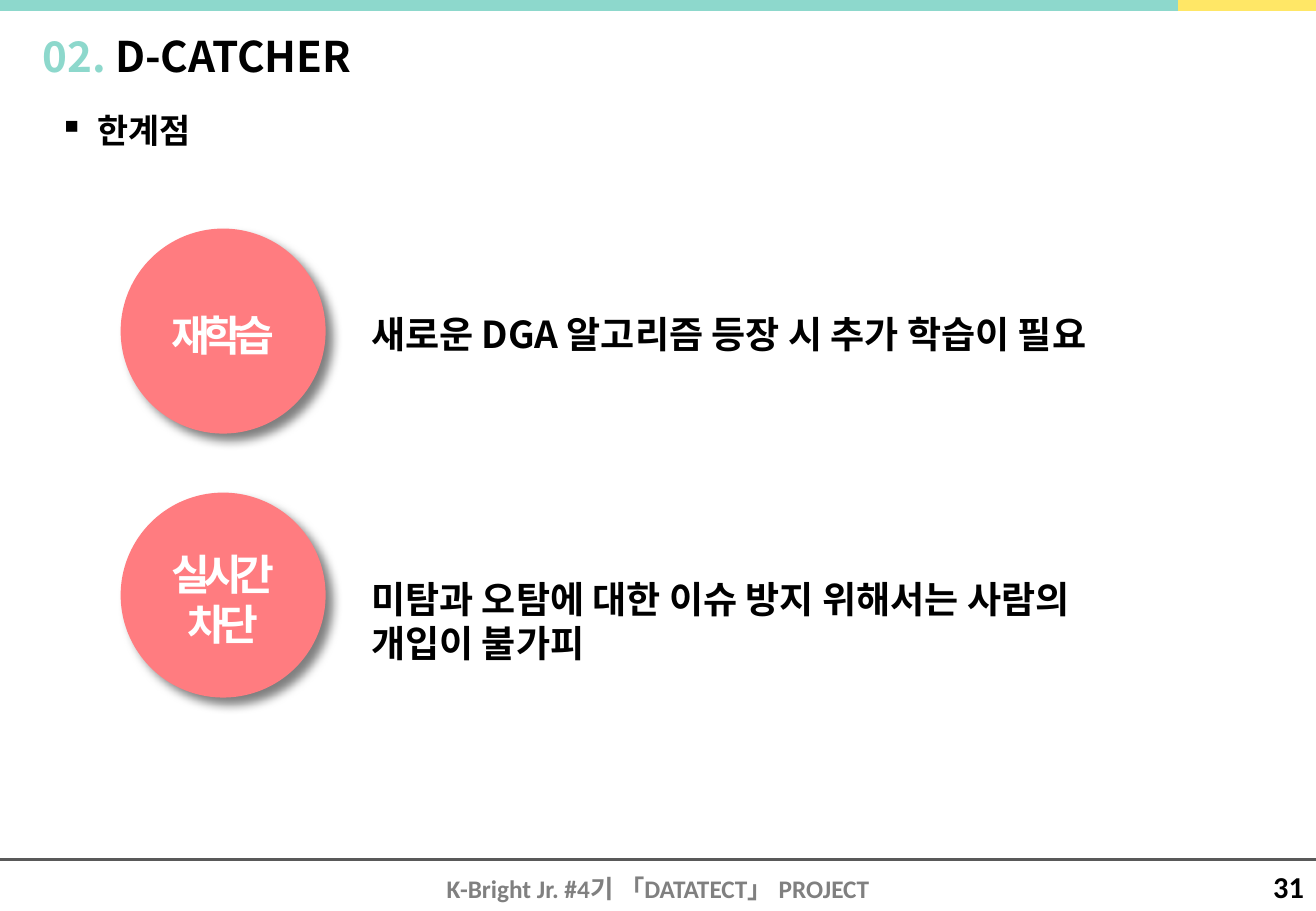
from pptx import Presentation
from pptx import util as u
from pptx.dml.color import RGBColor
from pptx.enum import shapes, text
from pptx.oxml import ns
from lxml import etree

WIDTH, HEIGHT = 780, 540
MINT, YELLOW, CORAL = "8DD8CC", "FFE766", "FF7C80"
BLACK, WHITE, GREY, DARK_GREY = "000000", "FFFFFF", "808080", "595959"
KOREAN, LATIN = "Noto Sans CJK KR", "Calibri"
ALIGN = text.PP_ALIGN


def color(value):
    return RGBColor.from_string(value)


def child(parent, tag, **attributes):
    return etree.SubElement(parent, ns.qn(tag), attributes)


class SlideBuilder:
    """Holds the text style and the slide that is being filled."""
    line_height = 1.19
    baseline_drop = 0.09

    def __init__(self, slide):
        self.slide = slide

    def fill_text(self, frame, lines, size, font=KOREAN, align=ALIGN.LEFT, tracking=0):
        """Fill a frame; each line is a list of (wording, color) runs."""
        frame.word_wrap = True
        if font == KOREAN:
            middle = frame.vertical_anchor == text.MSO_ANCHOR.MIDDLE
            drop = self.baseline_drop * size * (2 if middle else 1)
            frame.margin_top = u.Pt(3.6 + drop)
        for index, runs in enumerate(lines):
            para = frame.add_paragraph() if index else frame.paragraphs[0]
            para.alignment = align
            if font == KOREAN:
                para.line_spacing = u.Pt(self.line_height * size)
            for wording, ink in runs:
                span = para.add_run()
                span.text = wording
                span.font.size = u.Pt(size)
                span.font.bold = True
                span.font.name = font
                span.font.color.rgb = color(ink)
                properties = span.font._element
                if font == KOREAN:
                    child(properties, "a:ea", typeface=font)
                if tracking:
                    properties.set("spc", str(tracking * 100))

    def label(self, left, top, width, height, lines, size, **style):
        box = self.slide.shapes.add_textbox(*map(u.Pt, (left, top, width, height)))
        self.fill_text(box.text_frame, lines, size, **style)
        return box

    def bullet(self, box, indent):
        for para in box.text_frame.paragraphs:
            properties = para._p.get_or_add_pPr()
            properties.set("marL", str(u.Pt(indent)))
            properties.set("indent", str(-u.Pt(indent)))
            child(child(properties, "a:buClr"), "a:srgbClr", val=BLACK)
            child(properties, "a:buChar", char="▪")

    def rule(self, start, end, top, ink, weight):
        """Draw a horizontal line."""
        line = self.slide.shapes.add_connector(
            shapes.MSO_CONNECTOR.STRAIGHT, *map(u.Pt, (start, top, end, top)))
        line.line.color.rgb = color(ink)
        line.line.width = u.Pt(weight)
        child(line._element.spPr, "a:effectLst")

    def circle(self, left, top, diameter, lines):
        disc = self.slide.shapes.add_shape(
            shapes.MSO_SHAPE.OVAL, *map(u.Pt, (left, top, diameter, diameter)))
        disc.fill.solid()
        disc.fill.fore_color.rgb = color(CORAL)
        disc.line.color.rgb = color(CORAL)
        disc.line.width = u.Pt(4)
        disc.shadow.inherit = False
        effects = disc._element.spPr.find(ns.qn("a:effectLst"))
        shadow = child(effects, "a:outerShdw", blurRad=str(u.Pt(6)),
                       dist=str(u.Pt(6)), dir=str(45 * 60000))
        child(child(shadow, "a:srgbClr", val=BLACK), "a:alpha", val="50000")
        disc.text_frame.vertical_anchor = text.MSO_ANCHOR.MIDDLE
        self.fill_text(disc.text_frame, lines, 25, align=ALIGN.CENTER, tracking=-4)


def main():
    deck = Presentation()
    deck.slide_width, deck.slide_height = u.Pt(WIDTH), u.Pt(HEIGHT)
    page = SlideBuilder(deck.slides.add_slide(deck.slide_layouts[6]))

    page.label(232.5, 514, 315, 26, [[("K-Bright Jr. #4기 「DATATECT」 PROJECT", GREY)]],
               15, font=LATIN, align=ALIGN.CENTER)
    page.label(744, 511, 39.5, 29, [[("31", BLACK)]], 18, font=LATIN, align=ALIGN.CENTER)
    page.rule(0, WIDTH, 509.5, DARK_GREY, 2)
    page.rule(0, WIDTH, 3, MINT, 7)
    page.rule(698.5, WIDTH, 3, YELLOW, 7)

    page.label(18, 12.25, 624, 42, [[("02. ", MINT), ("D-CATCHER", BLACK)]], 25,
               align=ALIGN.JUSTIFY)
    heading = page.label(28, 60, 486, 36, [[("한계점", BLACK)]], 20, align=ALIGN.JUSTIFY)
    page.bullet(heading, 22.5)

    limits = [
        (["재학습"], ["새로운 DGA 알고리즘 등장 시 추가 학습이 필요"]),
        (["실시간", "차단"], ["미탐과 오탐에 대한 이슈 방지 위해서는 사람의", "개입이 불가피"]),
    ]
    for row, (names, details) in enumerate(limits):
        top = 137.5 + 156.5 * row
        page.circle(73.5, top, 117.5, [[(name, WHITE)] for name in names])
        page.label(213, top + 42, 566, 7 + 26 * len(details),
                   [[(detail, BLACK)] for detail in details], 22)

    deck.save("out.pptx")


if __name__ == "__main__":
    main()
